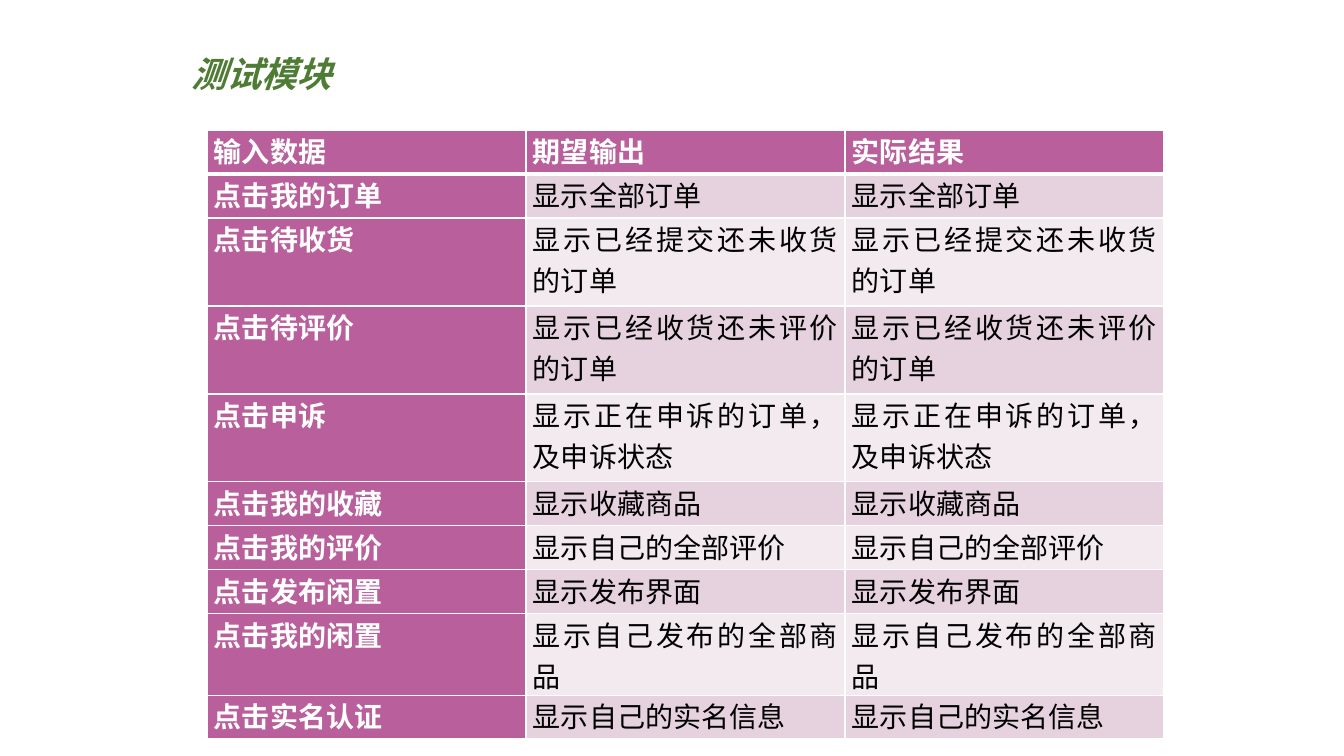
from lxml import etree
from pptx import Presentation
from pptx.dml.color import RGBColor
from pptx.enum.text import MSO_ANCHOR, MSO_AUTO_SIZE, PP_ALIGN
from pptx.oxml.ns import qn
from pptx.util import Pt

TITLE = "测试模块"
HEADERS = ("输入数据", "期望输出", "实际结果")
TEST_CASES = [
    ("点击我的订单", "显示全部订单", 44),
    ("点击待收货", "显示已经提交还未收货的订单", 88),
    ("点击待评价", "显示已经收货还未评价的订单", 88),
    ("点击申诉", "显示正在申诉的订单，及申诉状态", 88),
    ("点击我的收藏", "显示收藏商品", 44),
    ("点击我的评价", "显示自己的全部评价", 44),
    ("点击发布闲置", "显示发布界面", 44),
    ("点击我的闲置", "显示自己发布的全部商品", 44),
    ("点击实名认证", "显示自己的实名信息", 44),
]
HEADER_HEIGHT = 44
COLUMN_WIDTH = 319
TABLE_LEFT, TABLE_TOP = 207, 130
TITLE_BOX = (181, 55, 1159, 42)
CELL_INSET = 7

TITLE_FONT, BODY_FONT = "Montserrat", "Noto Sans CJK SC"
GREEN, PURPLE, WHITE, BLACK = "4F7C34", "B85F9C", "FFFFFF", "000000"
BANDS = ("E6D2DE", "F3EAEF")

LEFT, JUSTIFY = PP_ALIGN.LEFT, PP_ALIGN.JUSTIFY
MIDDLE, TOP = MSO_ANCHOR.MIDDLE, MSO_ANCHOR.TOP
NO_AUTOFIT = MSO_AUTO_SIZE.NONE
EMU_PER_PX = 914400 / 100.8


def px(length):
    return round(length * EMU_PER_PX)


def color(value):
    return RGBColor.from_string(value)


def write(text_frame, text, *, size, font, fill, bold, italic=False, align=JUSTIFY, spacing=None):
    paragraph = text_frame.paragraphs[0]
    paragraph.alignment = align
    paragraph.line_spacing = spacing
    run = paragraph.add_run()
    run.text = text
    run.font.size = Pt(size)
    run.font.name = font
    run.font.bold = bold
    run.font.italic = italic
    run.font.color.rgb = color(fill)
    east_asian = etree.SubElement(run.font._element, qn("a:ea"))
    east_asian.set("typeface", BODY_FONT)


def set_borders(cell, bottom_width):
    properties = cell._tc.get_or_add_tcPr()
    widths = (("a:lnL", 1), ("a:lnR", 1), ("a:lnT", 1), ("a:lnB", bottom_width))
    for position, (tag, width) in enumerate(widths):
        line = etree.Element(qn(tag), w=str(Pt(width)))
        solid_fill = etree.SubElement(line, qn("a:solidFill"))
        etree.SubElement(solid_fill, qn("a:srgbClr"), val=WHITE)
        properties.insert(position, line)


def add_title(slide):
    title = slide.shapes.title
    title.left, title.top, title.width, title.height = map(px, TITLE_BOX)
    title.text_frame.auto_size = NO_AUTOFIT
    title.text_frame.vertical_anchor = MIDDLE
    write(title.text_frame, TITLE, size=25.2, font=TITLE_FONT, fill=GREEN,
          bold=True, italic=True, align=LEFT, spacing=0.9)


def add_test_table(slide):
    rows = [HEADERS] + [(action, output, output) for action, output, height in TEST_CASES]
    heights = [HEADER_HEIGHT] + [height for action, output, height in TEST_CASES]
    table = slide.shapes.add_table(
        len(rows), len(HEADERS), px(TABLE_LEFT), px(TABLE_TOP),
        px(COLUMN_WIDTH * len(HEADERS)), px(sum(heights))).table
    for column in table.columns:
        column.width = px(COLUMN_WIDTH)
    for row_index, (texts, height) in enumerate(zip(rows, heights)):
        table.rows[row_index].height = px(height)
        for column_index, text in enumerate(texts):
            is_heading = row_index == 0 or column_index == 0
            cell = table.cell(row_index, column_index)
            cell.margin_left = cell.margin_right = px(CELL_INSET)
            cell.margin_top = cell.margin_bottom = 0
            cell.vertical_anchor = TOP
            cell.fill.solid()
            cell.fill.fore_color.rgb = color(PURPLE if is_heading else BANDS[(row_index - 1) % 2])
            set_borders(cell, 3 if row_index == 0 else 1)
            write(cell.text_frame, text, size=20, font=BODY_FONT,
                  fill=WHITE if is_heading else BLACK, bold=is_heading)


def main():
    presentation = Presentation()
    presentation.slide_width, presentation.slide_height = px(1344), px(756)
    slide = presentation.slides.add_slide(presentation.slide_layouts[5])
    add_title(slide)
    add_test_table(slide)
    presentation.save("out.pptx")


if __name__ == "__main__":
    main()
